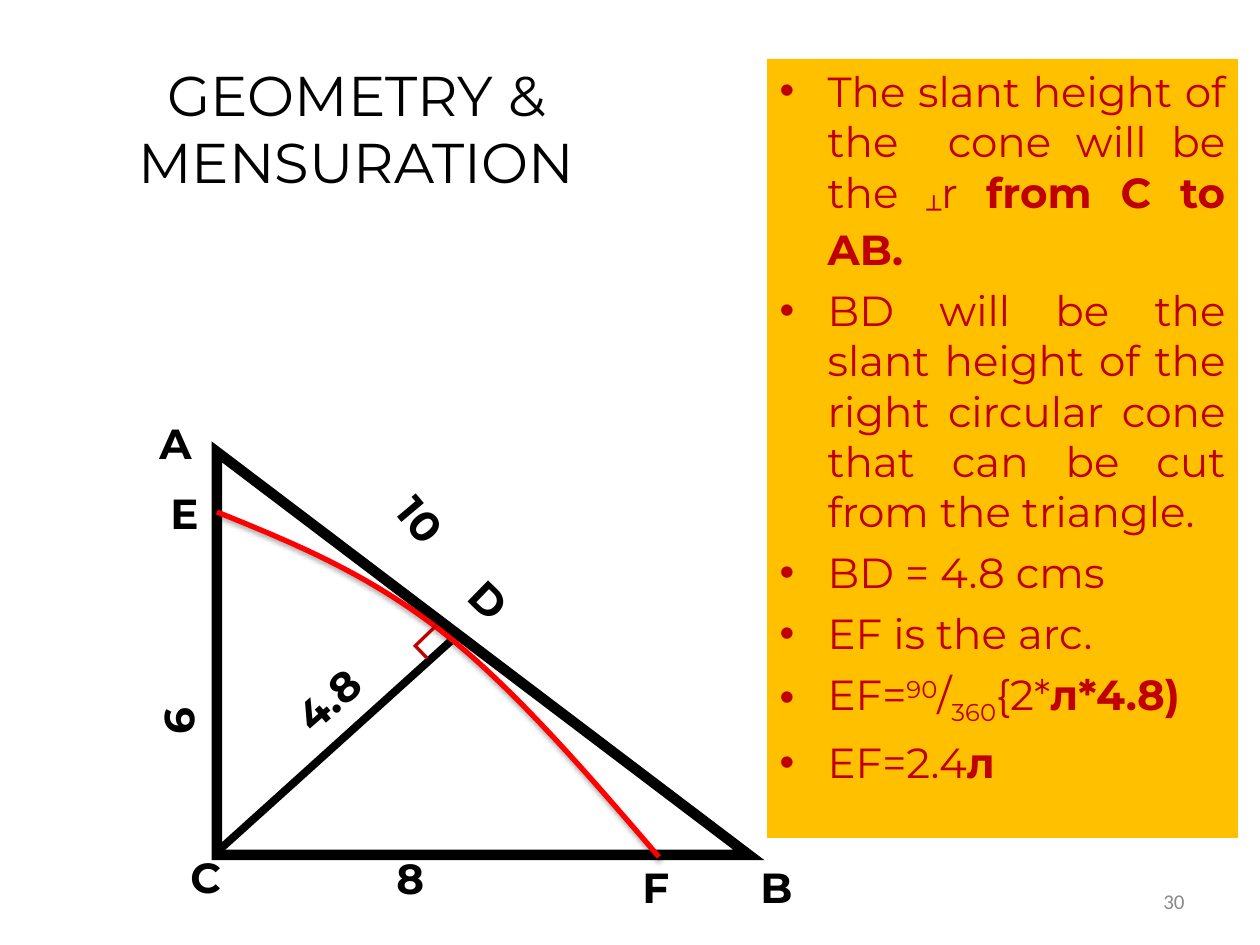
from lxml import etree
from pptx import Presentation
from pptx import util as u
from pptx.dml.color import RGBColor
from pptx.enum import shapes, text
from pptx.oxml.ns import qn

BLACK = RGBColor(0, 0, 0)
RED = RGBColor(0xFF, 0, 0)
DARK = RGBColor(0xC0, 0, 0)
GOLD = RGBColor(0xFF, 0xC0, 0)
GREY = RGBColor(0x89, 0x89, 0x89)
FONT = "Montserrat"
LEFT, MID, RIGHT = text.PP_ALIGN.LEFT, text.PP_ALIGN.CENTER, text.PP_ALIGN.RIGHT


def px(n):
    return u.Emu(round(n * 914400 / 126))


class Page:
    """Holds the style and the current slide, and draws each kind of element."""

    def __init__(self, deck):
        self.slide = deck.slides.add_slide(deck.slide_layouts[1])
        self.items = self.slide.shapes

    def place(self, shape, box):
        shape.left, shape.top, shape.width, shape.height = map(px, box)

    def run(self, para, words, size=24, color=BLACK, bold=False, font=FONT, base=0):
        run = para.add_run()
        run.text = words
        face = run.font
        face.name, face.size, face.bold = font, u.Pt(size), bold
        face.color.rgb = color
        if base:
            run._r.get_or_add_rPr().set("baseline", str(base * 1000))

    def title(self, words, box):
        shape = self.items.title
        self.place(shape, box)
        frame = shape.text_frame
        frame.auto_size = text.MSO_AUTO_SIZE.NONE
        frame.vertical_anchor = text.MSO_ANCHOR.MIDDLE
        para = frame.paragraphs[0]
        para.alignment = MID
        self.run(para, words, 32)

    def list(self, rows, box):
        shape = self.slide.placeholders[1]
        self.place(shape, box)
        shape.fill.solid()
        shape.fill.fore_color.rgb = GOLD
        frame = shape.text_frame
        frame.auto_size = text.MSO_AUTO_SIZE.NONE
        for i, row in enumerate(rows):
            para = frame.add_paragraph() if i else frame.paragraphs[0]
            prop = para._p.get_or_add_pPr()
            prop.set("marL", str(px(48)))
            prop.set("indent", str(px(-48)))
            tint = etree.SubElement(prop, qn("a:buClr"))
            etree.SubElement(tint, qn("a:srgbClr")).set("val", str(DARK))
            etree.SubElement(prop, qn("a:buChar")).set("char", "•")
            para.alignment = text.PP_ALIGN.JUSTIFY
            para.space_before = u.Pt(6 if i else 0)
            for words, style in row:
                self.run(para, words, color=DARK, **style)

    def label(self, words, box, turn=0, align=LEFT, **style):
        shape = self.items.add_textbox(*map(px, box))
        shape.rotation = turn
        frame = shape.text_frame
        frame.word_wrap = True
        frame.vertical_anchor = text.MSO_ANCHOR.MIDDLE
        para = frame.paragraphs[0]
        para.alignment = align
        self.run(para, words, **style)

    def pen(self, shape, color, width):
        shape.line.color.rgb = color
        shape.line.width = u.Pt(width)

    def wedge(self, box, width):
        kind = shapes.MSO_SHAPE.RIGHT_TRIANGLE
        shape = self.items.add_shape(kind, *map(px, box))
        shape.shadow.inherit = False
        shape.fill.background()
        self.pen(shape, BLACK, width)
        join = etree.SubElement(shape.line._get_or_add_ln(), qn("a:miter"))
        join.set("lim", "800000")

    def line(self, start, end, width):
        kind = shapes.MSO_CONNECTOR.STRAIGHT
        shape = self.items.add_connector(kind, *map(px, start + end))
        self.pen(shape, BLACK, width)
        etree.SubElement(shape._element.spPr, qn("a:effectLst"))

    def curve(self, knots, width, steps=24):
        dots = []
        for i in range(0, len(knots) - 1, 3):
            for k in range(1, steps + 1):
                t = k / steps
                mix = ((1 - t) ** 3, 3 * t * (1 - t) ** 2, 3 * t * t * (1 - t), t ** 3)
                dots.append([px(sum(m * p[a] for m, p in zip(mix, knots[i:i + 4])))
                             for a in (0, 1)])
        path = self.items.build_freeform(*map(px, knots[0]))
        path.add_line_segments(dots, close=False)
        shape = path.convert_to_shape()
        shape.fill.background()
        self.pen(shape, RED, width)


BOLD = {"bold": True}
ROWS = [
    [("The slant height of the  cone will be the ", {}), ("┴", {"base": -25}),
     ("r ", {}), ("from C to AB.", BOLD)],
    [("BD will be the slant height of the right circular cone "
      "that can be cut from the triangle.", {})],
    [("BD = 4.8 cms", {})],
    [("EF is the arc.", {})],
    [("EF=", {}), ("90", {"base": 30}), ("/", {}), ("360", {"base": -25}),
     ("{2*", {}), ("л*4.8)", BOLD)],
    [("EF=2.4", {}), ("л", BOLD)],
]
LABELS = [
    ("A", (147, 413, 59, 59), 0),
    ("C", (178, 847, 49, 59), 0),
    ("B", (748, 857, 49, 59), 0),
    ("10", (383, 494, 87, 64), 50),
    ("8", (384, 848, 59, 59), 0),
    ("6", (139, 669, 77, 79), 270),
    ("D", (452, 595, 117, 50), 44.2),
    ("4.8", (278, 663, 122, 54), 318.7),
    ("E", (158, 483, 49, 59), 0),
    ("F", (630, 857, 49, 59), 0),
]
ARC = [(217, 512), (291, 542), (365, 572), (440, 630),
       (513, 687), (586, 772), (659, 857)]


def main():
    deck = Presentation()
    deck.slide_width, deck.slide_height = px(1260), px(945)
    page = Page(deck)
    page.title("GEOMETRY & MENSURATION", (63, 38, 587, 179))
    page.list(ROWS, (767, 59, 471, 779))
    page.label("30", (903, 876, 294, 50), align=RIGHT, size=12, color=GREY,
               font="Calibri")
    page.wedge((217, 452, 532, 403), 6)
    page.line((217, 852), (452, 640), 4.5)
    for words, box, turn in LABELS:
        page.label(words, box, turn, bold=True)
    page.curve(ARC, 3)
    page.label("┐", (354, 611, 117, 77), 226, MID, size=28, color=DARK, font="Arial")
    deck.save("out.pptx")


if __name__ == "__main__":
    main()
